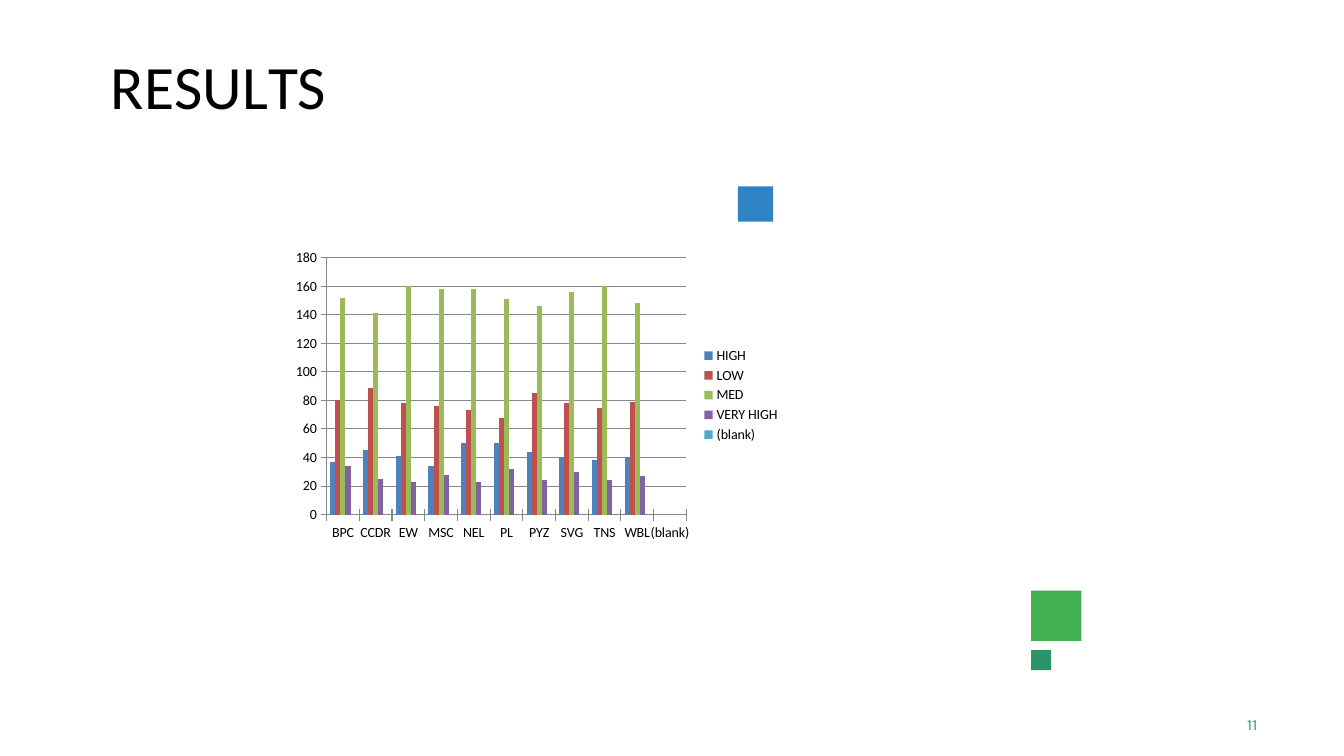
from pptx import Presentation
from pptx.chart.data import CategoryChartData
from pptx.dml.color import RGBColor
from pptx.enum.chart import XL_CHART_TYPE, XL_LEGEND_POSITION, XL_TICK_MARK
from pptx.enum.shapes import MSO_SHAPE
from pptx.enum.text import MSO_ANCHOR, PP_ALIGN
from pptx.util import Pt

CATEGORIES = ["BPC", "CCDR", "EW", "MSC", "NEL", "PL", "PYZ", "SVG", "TNS", "WBL", "(blank)"]
SERIES = [
    ("HIGH", "4F81BD", [37, 45, 41, 34, 50, 50, 44, 40, 38, 40, None]),
    ("LOW", "C0504D", [80, 89, 78, 76, 73, 68, 85, 78, 75, 79, None]),
    ("MED", "9BBB59", [152, 141, 160, 158, 158, 151, 146, 156, 160, 148, None]),
    ("VERY HIGH", "8064A2", [34, 25, 23, 28, 23, 32, 24, 30, 24, 27, None]),
    ("(blank)", "4BACC6", [None] * len(CATEGORIES)),
]
SQUARES = [
    (736.56, 421.92, 36, "42AF51"),
    (527.04, 133.2, 25.2, "2D83C3"),
    (736.56, 464.4, 14.4, "2D936B"),
]
TITLE_LETTERS = [("R", 0), ("E", -0.4), ("S", 0.1), ("U", -0.3), ("L", -4), ("TS", 0)]


def paint(color_format, color):
    """Give a colour format the colour of a hex string."""
    color_format.rgb = RGBColor.from_string(color)


def add_span(para, text, font="Calibri", size=44, color="000000", spacing=0):
    """Append formatted text with letter spacing in points."""
    span = para.add_run()
    span.text = text
    span.font.name = font
    span.font.size = Pt(size)
    paint(span.font.color, color)
    span._r.get_or_add_rPr().set("spc", str(round(spacing * 100)))


def set_frame(box, anchor, wrap=True):
    """Set the anchor and margins of a text box and return its first paragraph."""
    frame = box.text_frame
    frame.word_wrap = wrap
    frame.vertical_anchor = anchor
    frame.margin_left = frame.margin_right = frame.margin_bottom = 0
    frame.margin_top = Pt(1)
    return frame.paragraphs[0]


def add_title(page):
    """Place the title with its uneven letter spacing."""
    box = page.shapes.title
    box.left, box.top, box.width, box.height = Pt(60), Pt(30), Pt(192), Pt(60)
    para = set_frame(box, MSO_ANCHOR.MIDDLE)
    para.alignment = PP_ALIGN.CENTER
    para.space_before = Pt(1.1)
    for text, spacing in TITLE_LETTERS:
        add_span(para, text, spacing=spacing)


def add_page_number(page, text):
    """Write the page number at the lower right."""
    box = page.shapes.add_textbox(Pt(887.76), Pt(509.76), Pt(18), Pt(15.12))
    para = set_frame(box, MSO_ANCHOR.TOP)
    para.space_before = Pt(0.6)
    para._p.get_or_add_pPr().set("marL", str(Pt(3)))
    add_span(para, text, font="Karla", size=11, color="2D936B", spacing=0.1)


def add_square(page, left, top, side, color):
    """Draw a plain filled square."""
    square = page.shapes.add_shape(MSO_SHAPE.RECTANGLE, Pt(left), Pt(top), Pt(side), Pt(side))
    square.shadow.inherit = False
    square.fill.solid()
    paint(square.fill.fore_color, color)
    square.line.fill.background()


def style_axis(axis):
    """Give an axis crossing ticks and grey lines."""
    axis.major_tick_mark = XL_TICK_MARK.CROSS
    axis.minor_tick_mark = XL_TICK_MARK.NONE
    paint(axis.format.line.color, "878787")
    axis.format.line.width = Pt(0.75)


def add_results_chart(page):
    """Add the clustered columns of results with a legend."""
    data = CategoryChartData()
    data.categories = CATEGORIES
    for name, _, values in SERIES:
        data.add_series(name, values)
    chart = page.shapes.add_chart(
        XL_CHART_TYPE.COLUMN_CLUSTERED, Pt(204.48), Pt(174.24), Pt(360), Pt(216), data
    ).chart
    chart.has_title = False
    chart.font.name = "Calibri"
    chart.font.size = Pt(10)
    paint(chart.font.color, "000000")
    chart.has_legend = True
    chart.legend.position = XL_LEGEND_POSITION.RIGHT
    chart.legend.include_in_layout = False
    for axis in (chart.category_axis, chart.value_axis):
        style_axis(axis)
    chart.value_axis.has_major_gridlines = True
    gridline = chart.value_axis.major_gridlines.format.line
    paint(gridline.color, "878787")
    gridline.width = Pt(0.75)
    plot = chart.plots[0]
    plot.vary_by_categories = False
    plot.gap_width = 150
    plot.overlap = 0
    for series, (_, color, _) in zip(plot.series, SERIES):
        series.format.fill.solid()
        paint(series.format.fill.fore_color, color)


def main():
    """Build the results slide and save it."""
    deck = Presentation()
    deck.slide_width, deck.slide_height = Pt(960), Pt(540)
    page = deck.slides.add_slide(deck.slide_layouts[5])
    for square in SQUARES:
        add_square(page, *square)
    add_title(page)
    add_page_number(page, "11")
    add_results_chart(page)
    deck.save("out.pptx")


if __name__ == "__main__":
    main()
